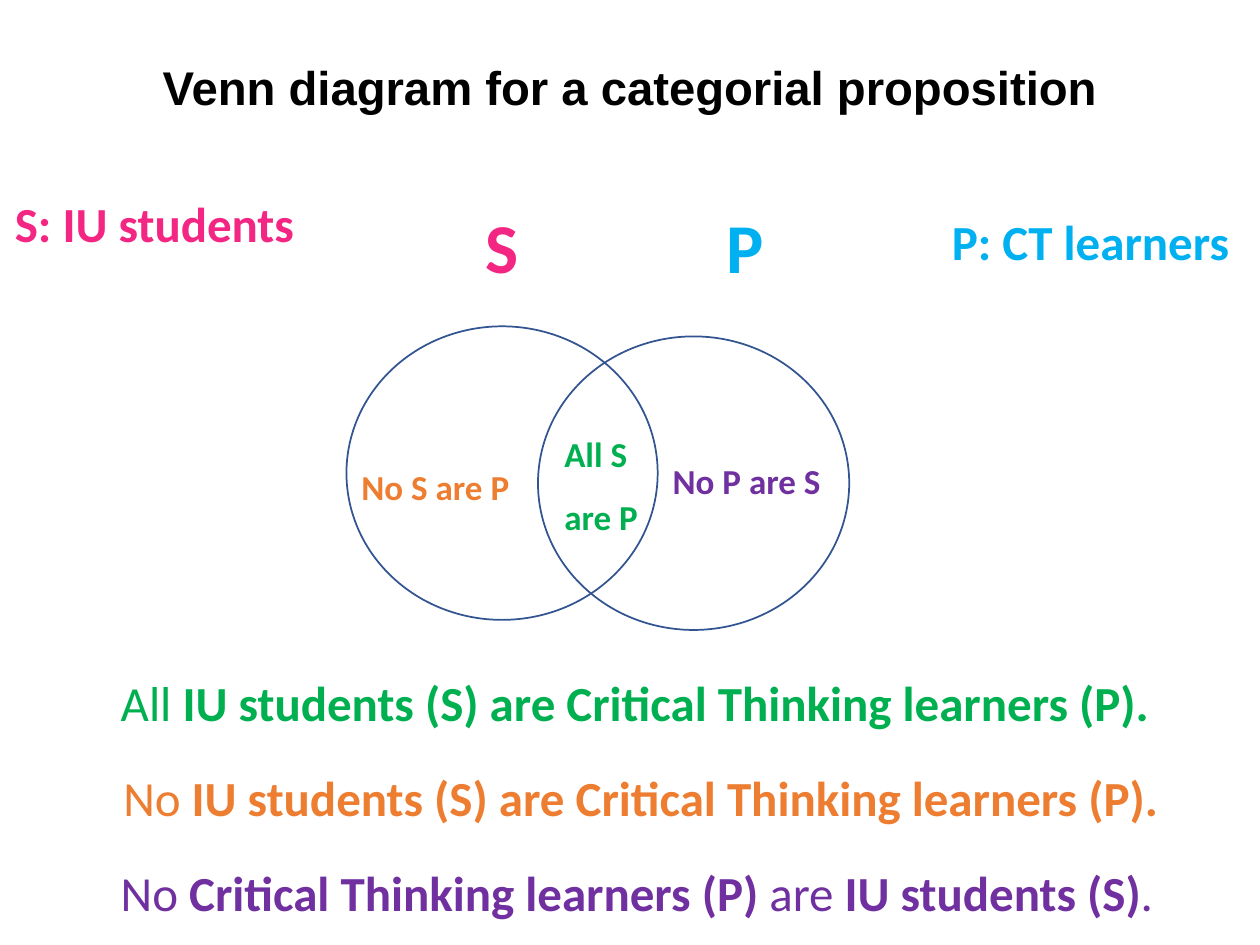
import pptx
import pptx.util
import pptx.dml.color
import pptx.enum.shapes
import pptx.enum.text

RGB = pptx.dml.color.RGBColor
Inches, Pt = pptx.util.Inches, pptx.util.Pt
ALIGN = pptx.enum.text.PP_ALIGN
BLACK, WHITE = RGB(0, 0, 0), RGB(255, 255, 255)
OUTLINE = RGB(0x32, 0x54, 0x91)
PINK, BLUE = RGB(0xF4, 0x26, 0x83), RGB(0x00, 0xB0, 0xF0)
GREEN, ORANGE = RGB(0x00, 0xB0, 0x50), RGB(0xED, 0x7D, 0x31)
PURPLE = RGB(0x70, 0x30, 0xA0)

TITLE = "Venn diagram for a categorial proposition"
CIRCLE_SIZE = (2.47, 2.33)
CIRCLES = [((4.27, 2.67), WHITE), ((2.75, 2.59), None)]  # P, then S on top

HEADING = dict(size=40, align=ALIGN.CENTER)
LEGEND = dict(size=28, align=ALIGN.CENTER)
REGION = dict(size=20, line_spacing=1.5)
STATEMENT = dict(size=28)

# box, colour, style, runs as (text, bold)
LABELS = [
    ((3.59, 1.57, 0.79, 0.77), PINK, HEADING, [("S", True)]),
    ((5.52, 1.57, 0.79, 0.77), BLUE, HEADING, [("P", True)]),
    ((0, 1.49, 2.45, 0.57), PINK, LEGEND, [("S: IU students", True)]),
    ((7.09, 1.63, 3.13, 0.57), BLUE, LEGEND, [("P: CT learners", True)]),
    ((4.38, 3.22, 0.82, 1.06), GREEN, REGION, [("All S are P", True)]),
    ((2.77, 3.48, 1.5, 0.55), ORANGE, REGION, [("No S are P", True)]),
    ((5.24, 3.43, 1.58, 0.55), PURPLE, REGION, [("No P are S", True)]),
    ((0.86, 5.29, 8.71, 0.57), GREEN, STATEMENT,
     [("All ", False), ("IU students (S) are Critical Thinking learners (P).", True)]),
    ((0.88, 6.04, 8.51, 0.57), ORANGE, STATEMENT,
     [("No ", False), ("IU students (S) are Critical Thinking learners (P).", True)]),
    ((0.86, 6.8, 8.51, 0.57), PURPLE, STATEMENT,
     [("No ", False), ("Critical Thinking learners (P) ", True), ("are ", False),
      ("IU students (S)", True), (".", False)]),
]


def write(tf, runs, color, size, font="Calibri", align=ALIGN.LEFT, line_spacing=None):
    tf.word_wrap = True
    p = tf.paragraphs[0]
    p.alignment, p.line_spacing = align, line_spacing
    for text, bold in runs:
        r = p.add_run()
        r.text = text
        for name, value in dict(name=font, size=Pt(size), bold=bold).items():
            setattr(r.font, name, value)
        r.font.color.rgb = color


def add_circle(slide, position, fill):
    sp = slide.shapes.add_shape(pptx.enum.shapes.MSO_SHAPE.OVAL,
                                *map(Inches, position + CIRCLE_SIZE))
    sp.shadow.inherit = False
    if fill is None:
        sp.fill.background()
    else:
        sp.fill.solid()
        sp.fill.fore_color.rgb = fill
    sp.line.color.rgb = OUTLINE
    sp.line.width = Pt(1)


def main():
    prs = pptx.Presentation()
    prs.slide_width, prs.slide_height = Inches(10), Inches(7.5)
    slide = prs.slides.add_slide(prs.slide_layouts[5])

    title = slide.shapes.title
    title.left, title.top, title.width, title.height = map(Inches, (0.88, 0.56, 8.24, 0.31))
    tf = title.text_frame
    tf.auto_size = pptx.enum.text.MSO_AUTO_SIZE.NONE
    tf.vertical_anchor = pptx.enum.text.MSO_ANCHOR.MIDDLE
    write(tf, [(TITLE, True)], BLACK, 27, "Arial", ALIGN.CENTER, 0.9)

    for position, fill in CIRCLES:
        add_circle(slide, position, fill)
    for box, color, style, runs in LABELS:
        tf = slide.shapes.add_textbox(*map(Inches, box)).text_frame
        tf.auto_size = pptx.enum.text.MSO_AUTO_SIZE.SHAPE_TO_FIT_TEXT
        write(tf, runs, color, **style)

    prs.save("out.pptx")


if __name__ == "__main__":
    main()
